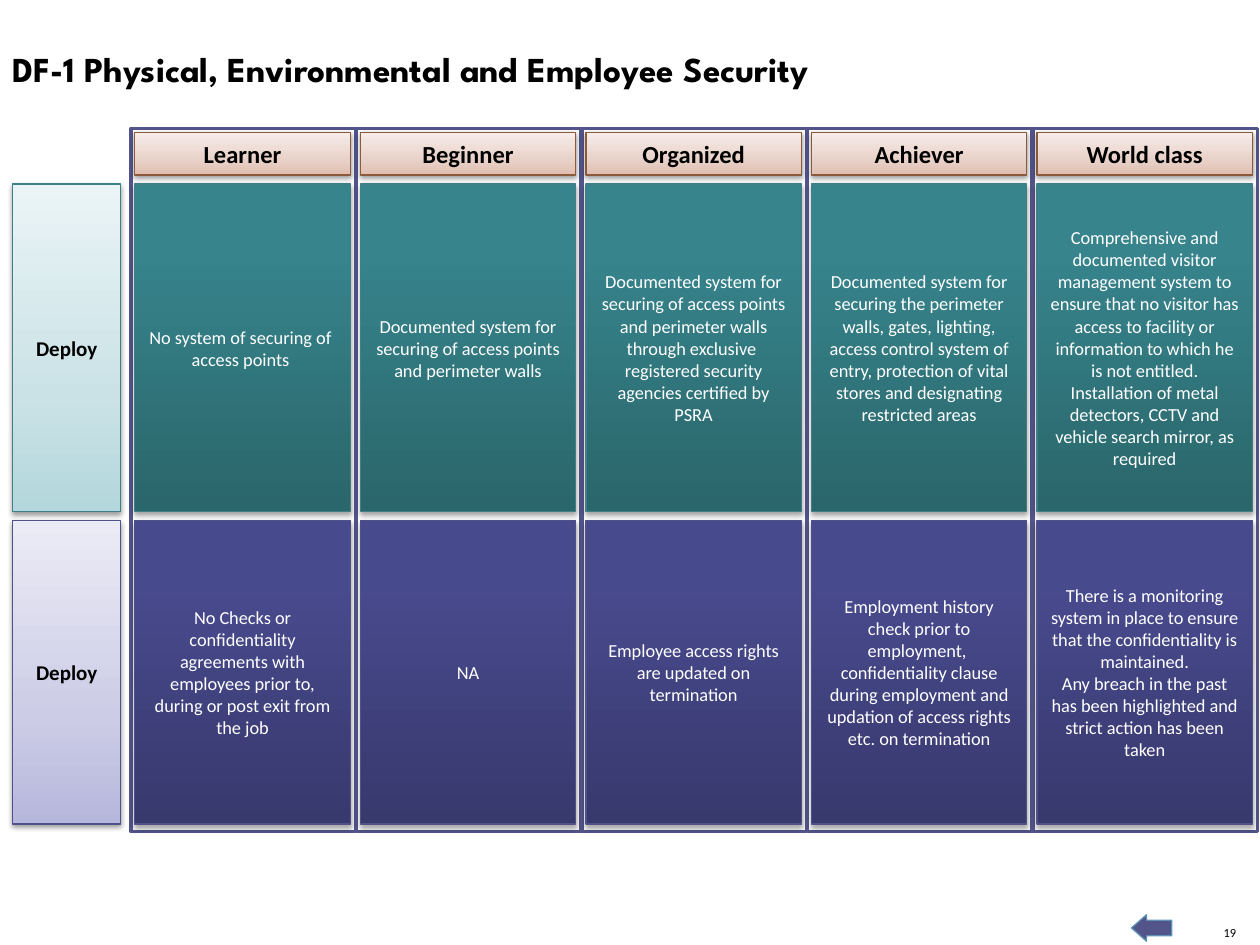
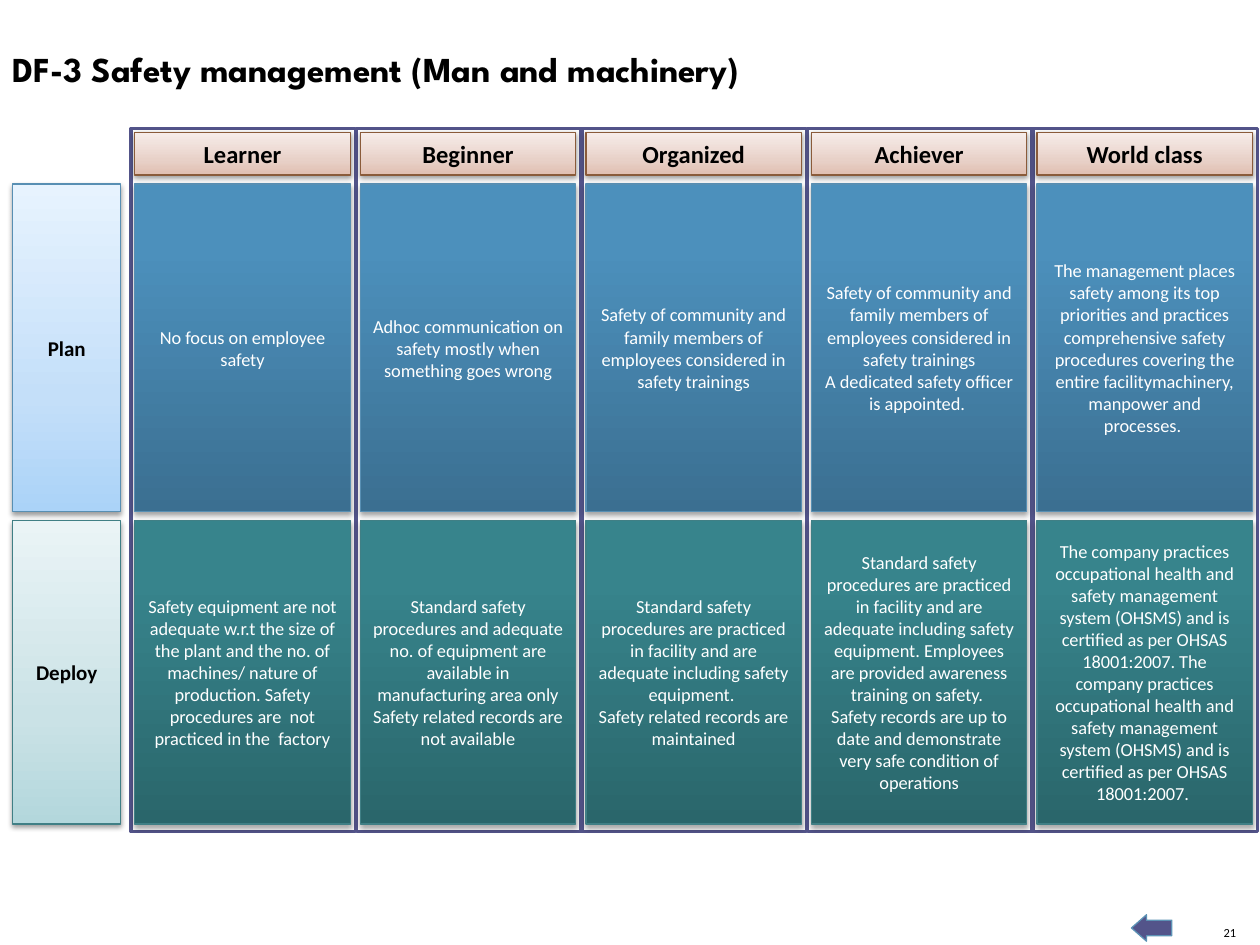
"""Build two maturity-grid slides on security and safety."""
from lxml import etree
from pptx import Presentation
from pptx.dml.color import RGBColor
from pptx.enum import shapes, text
from pptx.oxml import ns
from pptx.util import Inches, Pt

LEVELS = ["Learner", "Beginner", "Organized", "Achiever", "World class"]

SLIDES = [
    ("DF-1 Physical, Environmental and Employee Security", "19", [
        ("Deploy", "teal", [
            "No system of securing of  access points ",
            "Documented system for securing of access points and perimeter walls",
            "Documented system for securing of access points and perimeter walls "
            "through exclusive  registered security agencies certified by PSRA",
            "Documented system for securing the perimeter walls, gates, lighting, "
            "access control system of entry, protection of vital stores and "
            "designating restricted areas",
            "Comprehensive and documented visitor management system to ensure that "
            "no visitor has access to facility or information to which he is not "
            "entitled. Installation of metal detectors, CCTV and vehicle search "
            "mirror, as required",
        ]),
        ("Deploy", "violet", [
            "No Checks or confidentiality agreements with employees prior to, "
            "during or post exit from the job",
            "NA",
            "Employee access rights are updated on termination",
            "Employment history check prior to employment,  confidentiality clause "
            "during employment and updation of access rights etc. on termination",
            "There is a monitoring system in place to ensure that the "
            "confidentiality is maintained.\n"
            "Any breach in the past has been highlighted and strict action has "
            "been taken",
        ]),
    ]),
    ("DF-3 Safety management (Man and machinery)", "21", [
        ("Plan", "blue", [
            "No focus on employee safety",
            "Adhoc communication on safety mostly when something goes wrong",
            "Safety of community and family members of employees considered in "
            "safety trainings",
            "Safety of community and family members of employees considered in "
            "safety trainings\nA dedicated safety officer is appointed. ",
            "The management places safety among its top priorities and practices "
            "comprehensive safety procedures covering the entire "
            "facilitymachinery, manpower and processes. ",
        ]),
        ("Deploy", "teal", [
            "Safety equipment are not adequate w.r.t the size of the plant and the "
            "no. of machines/ nature of production. Safety procedures are  not "
            "practiced in the  factory",
            "Standard safety procedures and adequate no. of equipment are available "
            "in manufacturing area only\nSafety related records are not available",
            "Standard safety procedures are practiced in facility and are adequate "
            "including safety equipment. \nSafety related records are maintained",
            "Standard safety procedures are practiced in facility and are adequate "
            "including safety equipment. Employees are provided awareness training "
            "on safety. \nSafety records are up to date and demonstrate very safe "
            "condition of operations",
            "The company practices occupational health and safety management system "
            "(OHSMS) and is certified as per OHSAS 18001:2007. "
            "The company practices occupational health and safety management system "
            "(OHSMS) and is certified as per OHSAS 18001:2007. ",
        ]),
    ]),
]

HEX = RGBColor.from_string
BLACK, WHITE = RGBColor(0, 0, 0), RGBColor(255, 255, 255)
INDIGO, STEEL = HEX("53548A"), HEX("5C92B5")
LINE = {"teal": HEX("407F85"), "violet": HEX("505188"),
        "blue": HEX("588FB3"), "peach": HEX("8A5B3A")}
PALE = {"teal": [HEX("B3D7DC"), HEX("CAE2E6"), HEX("EAF4F6")],
        "violet": [HEX("B6B7DC"), HEX("CCCCE6"), HEX("EBEBF6")],
        "blue": [HEX("ABD3F8"), HEX("C4DFF9"), HEX("E7F3FE")],
        "peach": [HEX("E0BEB0"), HEX("E8D1C8"), HEX("F7EDEA")]}
DEEP = {"teal": [HEX("2A666B"), HEX("37848C"), HEX("36868E")],
        "violet": [HEX("38396D"), HEX("484A8E"), HEX("474990")],
        "blue": [HEX("3B6F91"), HEX("4C90BC"), HEX("4A91BF")]}

WIDE, HIGH = 10, 7.5
LEFT, TOP, STEP, PAD = 1.04, 1.02, 1.79, 0.03
PANEL, CELL = (1.78, 5.58), 1.71
ROWS = [(1.46, 2.6), (4.13, 2.41)]
HEAD = (TOP + PAD, 0.34)
SIDE = (0.1, 0.86)


def add(parent, tag, **attrs):
    """Append a DrawingML element and return it."""
    return etree.SubElement(parent, ns.qn("a:" + tag),
                            {key: str(val) for key, val in attrs.items()})


def tint(parent, color):
    """Append a plain colour and return it."""
    return add(parent, "srgbClr", val=color)


def draw(slide, kind, left, top, wide, high, fill, line, weight):
    """Add a shape; a list of colours makes a gradient."""
    shape = slide.shapes.add_shape(kind, *map(Inches, (left, top, wide, high)))
    shape.shadow.inherit = False
    if not isinstance(fill, list):
        shape.fill.solid()
        shape.fill.fore_color.rgb = fill
    shape.line.color.rgb = line
    shape.line.width = Pt(weight)
    return shape


def write(frame, words, size, color, bold=False, font="Calibri",
          align=text.PP_ALIGN.CENTER):
    """Fill a text frame and format each paragraph."""
    frame.text = words
    for par in frame.paragraphs:
        par.alignment = align
        par.font.name, par.font.size = font, Pt(size)
        par.font.bold, par.font.color.rgb = bold, color


def tile(slide, cols, rows, words, hue, size, deep=False):
    """Add a shaded, shadowed tile with centred words."""
    (left, wide), (top, high) = cols, rows
    fill = (DEEP if deep else PALE)[hue]
    box = draw(slide, shapes.MSO_SHAPE.RECTANGLE, left, top, wide, high,
               fill, LINE[hue], 0.75)
    box.fill.gradient()
    box.fill.gradient_angle = 90
    props = box._element.spPr
    stops = props.find(".//" + ns.qn("a:gsLst"))
    stops[:] = []
    for pos, color in zip((0, 80 if deep else 35, 100), fill):
        tint(add(stops, "gs", pos=pos * 1000), color)
    glow = add(props.find(ns.qn("a:effectLst")), "outerShdw", blurRad=Pt(3.1),
               dist=Pt(1.8 if deep else 1.6), dir=90 * 60000, rotWithShape=0)
    add(tint(glow, BLACK), "alpha", val=35000 if deep else 38000)
    box.text_frame.vertical_anchor = text.MSO_ANCHOR.MIDDLE
    write(box.text_frame, words, size, WHITE if deep else BLACK, not deep)


def frame(slide, title, page):
    """Place the title, back arrow and page number."""
    head = slide.shapes.title
    head.left, head.top, head.width, head.height = map(
        Inches, (0, 0.33, 0.86 * WIDE, 0.44))
    body = head.text_frame
    body.auto_size = text.MSO_AUTO_SIZE.NONE
    body.vertical_anchor = text.MSO_ANCHOR.TOP
    write(body, title, 20, BLACK, True, "League Spartan", text.PP_ALIGN.LEFT)
    arrow = draw(slide, shapes.MSO_SHAPE.LEFT_ARROW, 8.98, HIGH - 0.24,
                 0.32, 0.21, INDIGO, STEEL, 0.75)
    arrow.adjustments[0], arrow.adjustments[1] = 0.59, 0.57
    note = slide.shapes.add_textbox(*map(Inches, (9.69, HIGH - 0.16, 0.12, 0.12)))
    body = note.text_frame
    body.margin_left = body.margin_right = body.margin_top = body.margin_bottom = 0
    body.word_wrap = False
    body.vertical_anchor = text.MSO_ANCHOR.BOTTOM
    write(body, page, 7.1, BLACK, align=text.PP_ALIGN.RIGHT)


def main():
    """Build and save the deck."""
    deck = Presentation()
    deck.slide_width, deck.slide_height = Inches(WIDE), Inches(HIGH)
    lefts = [LEFT + i * STEP for i in range(len(LEVELS))]
    for title, page, bands in SLIDES:
        slide = deck.slides.add_slide(deck.slide_layouts[5])
        frame(slide, title, page)
        for left in lefts:
            draw(slide, shapes.MSO_SHAPE.RECTANGLE, left, TOP, *PANEL,
                 WHITE, INDIGO, 2)
        cols = [(left + PAD, CELL) for left in lefts]
        for (label, hue, cells), row in zip(bands, ROWS):
            tile(slide, SIDE, row, label, hue, 12)
            for col, words in zip(cols, cells):
                tile(slide, col, row, words, hue, 10.5, deep=True)
        for col, level in zip(cols, LEVELS):
            tile(slide, col, HEAD, level, "peach", 14)
    deck.save("out.pptx")


if __name__ == "__main__":
    main()
